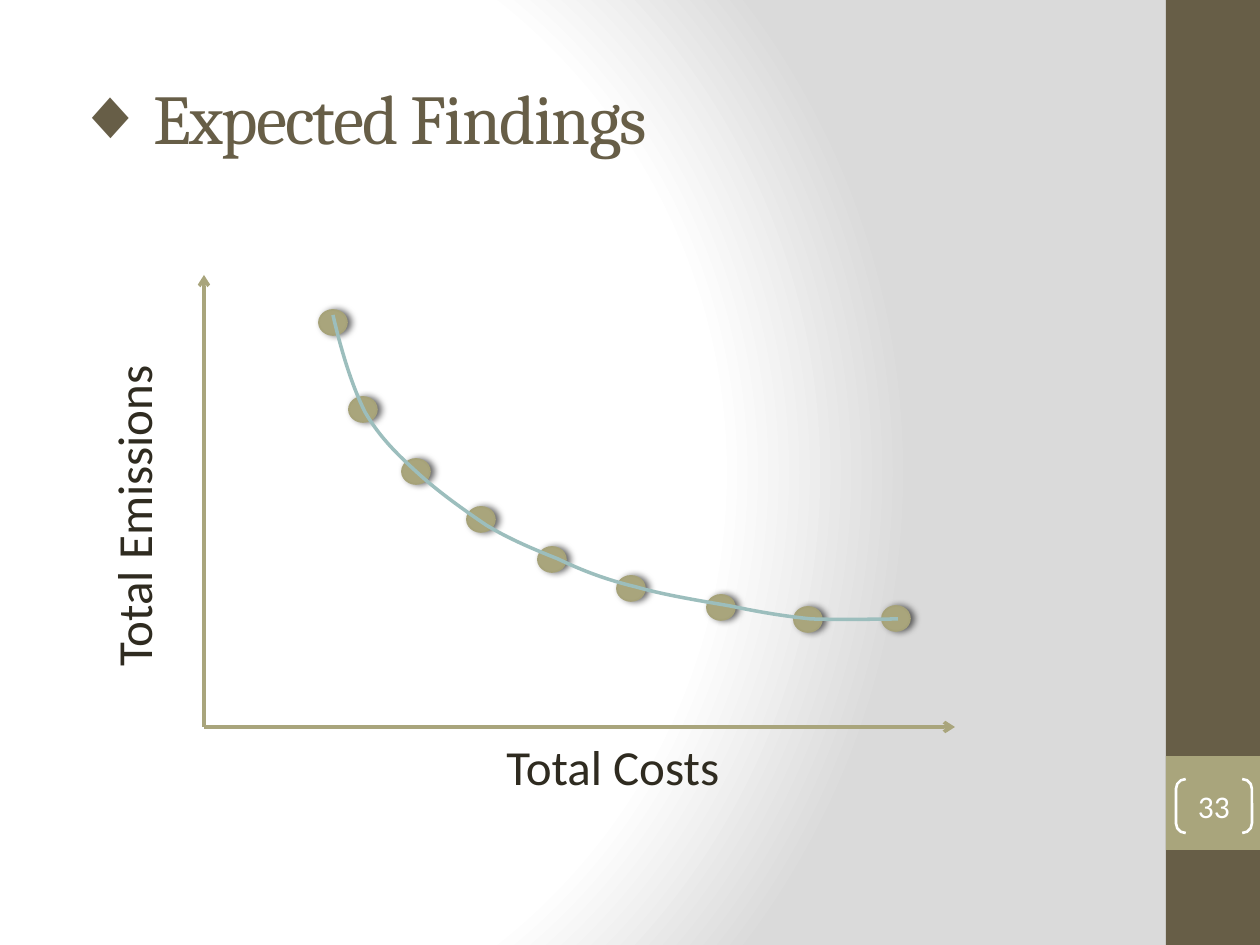
from dataclasses import dataclass

from lxml import etree
from pptx import Presentation
from pptx import util as u
from pptx.dml.color import RGBColor
from pptx.enum import shapes, text
from pptx.oxml import parse_xml
from pptx.oxml.ns import nsdecls, qn

PX = 914400 / 126


@dataclass(frozen=True)
class Theme:
    white: str = "FFFFFF"
    grey: str = "DADADA"
    brown: str = "675E47"
    olive: str = "A9A57C"
    rim: str = "A6A278"
    teal: str = "9CBEBD"
    ink: str = "2F2B20"
    head: str = "Cambria"
    body: str = "Calibri"
    title_size: int = 40
    label_size: int = 28
    number_size: int = 18


T = Theme()

TITLE = ("Expected Findings", (63, 38, 1050, 158))
PAGE = ("33", (1176, 779, 76, 54))
BARS = [((1166, 0, 94, 945), T.brown), ((1166, 756, 94, 94), T.olive)]
ORIGIN = (204, 727)
AXIS_ENDS = [(204, 275), (955, 727)]
LABELS = [
    ("Total Costs", (494, 730, 326, 72), 0),
    ("Total Emissions", (-58, 452, 382, 72), 270),
]
DOT_SIZE = (28, 25)
DOTS = [(319, 310), (349, 397), (402, 459), (467, 507), (538, 547),
        (617, 576), (707, 595), (794, 607), (882, 606)]
CURVE_START = (333, 315)
CURVE = [
    [(341, 350), (352, 386), (365, 412)],
    [(380, 438), (399, 456), (420, 475)],
    [(440, 493), (464, 510), (486, 525)],
    [(509, 539), (533, 549), (558, 559)],
    [(583, 571), (607, 580), (636, 587)],
    [(664, 595), (701, 601), (730, 606)],
    [(759, 612), (782, 616), (811, 619)],
    [(839, 620), (898, 619), (898, 619)],
]


def emu(*lengths):
    return [round(v * PX) for v in lengths]


def rgb(value):
    return RGBColor.from_string(value)


def set_line(line, color, width):
    line.color.rgb = rgb(color)
    line.width = u.Pt(width)


def add_shape(s, kind, box, fill=None):
    sp = s.shapes.add_shape(kind, *emu(*box))
    sp.shadow.inherit = False
    if fill:
        sp.fill.solid()
        sp.fill.fore_color.rgb = rgb(fill)
    else:
        sp.fill.background()
    sp.line.fill.background()
    return sp


def write(sp, words, size, font, color, anchor=text.MSO_ANCHOR.TOP):
    tf = sp.text_frame
    tf.word_wrap = True
    tf.vertical_anchor = anchor
    p = tf.paragraphs[0]
    r = p.add_run()
    r.text = words
    r.font.size = u.Pt(size)
    r.font.name = font
    r.font.color.rgb = rgb(color)
    return p, r


def add_background(s):
    s.background.fill.gradient()
    old = s.background._cSld.find(".//" + qn("a:gradFill"))
    stops = "".join(
        f'<a:gs pos="{pos}000"><a:srgbClr val="{color}"/></a:gs>'
        for pos, color in [(0, T.white), (75, T.white), (100, T.grey)])
    new = parse_xml(
        f'<a:gradFill {nsdecls("a")} rotWithShape="1"><a:gsLst>{stops}</a:gsLst>'
        '<a:path path="circle"><a:fillToRect l="20000" t="50000" r="100000" b="50000"/>'
        '</a:path></a:gradFill>')
    old.getparent().replace(old, new)


def add_title(s):
    words, box = TITLE
    sp = s.shapes.add_textbox(*emu(*box))
    p, r = write(sp, words, T.title_size, T.head, T.brown, text.MSO_ANCHOR.MIDDLE)
    r._r.get_or_add_rPr().set("spc", "-100")
    ppr = p._p.get_or_add_pPr()
    indent = emu(78)[0]
    ppr.set("marL", str(indent))
    ppr.set("indent", str(-indent))
    etree.SubElement(ppr, qn("a:buFont")).set("typeface", "Arial")
    etree.SubElement(ppr, qn("a:buChar")).set("char", "◆")


def add_page_number(s):
    words, box = PAGE
    sp = add_shape(s, shapes.MSO_SHAPE.DOUBLE_BRACKET, box)
    sp.adjustments[0] = 0.18
    set_line(sp.line, T.white, 1.5)
    tf = sp.text_frame
    tf.margin_left = tf.margin_right = tf.margin_top = tf.margin_bottom = 0
    p, r = write(sp, words, T.number_size, T.body, T.white, text.MSO_ANCHOR.MIDDLE)
    p.alignment = text.PP_ALIGN.CENTER


def add_axis(s, end):
    axis = s.shapes.add_connector(shapes.MSO_CONNECTOR.STRAIGHT, *emu(*ORIGIN, *end))
    set_line(axis.line, T.olive, 2)
    etree.SubElement(axis.line._get_or_add_ln(), qn("a:tailEnd")).set("type", "arrow")
    etree.SubElement(axis._element.spPr, qn("a:effectLst"))


def add_dot(s, corner):
    dot = add_shape(s, shapes.MSO_SHAPE.OVAL, (*corner, *DOT_SIZE), T.olive)
    set_line(dot.line, T.rim, 1)
    effects = dot._element.spPr.find(qn("a:effectLst"))
    effects.append(parse_xml(
        f'<a:outerShdw {nsdecls("a")} blurRad="{u.Pt(4)}" dist="{u.Pt(2)}" dir="0" '
        'rotWithShape="0"><a:srgbClr val="000000"><a:alpha val="60000"/></a:srgbClr>'
        '</a:outerShdw>'))


def add_curve(s):
    builder = s.shapes.build_freeform(*CURVE_START, scale=PX)
    builder.add_line_segments([pt for piece in CURVE for pt in piece], close=False)
    curve = builder.convert_to_shape()
    curve.shadow.inherit = False
    curve.fill.background()
    set_line(curve.line, T.teal, 2)
    outline = curve._element.find(".//" + qn("a:path"))
    steps = outline.findall(qn("a:lnTo"))
    for i in range(0, len(steps), 3):
        bezier = etree.SubElement(outline, qn("a:cubicBezTo"))
        for step in steps[i:i + 3]:
            bezier.append(step[0])
            outline.remove(step)


def main():
    prs = Presentation()
    prs.slide_width, prs.slide_height = emu(1260, 945)
    s = prs.slides.add_slide(prs.slide_layouts[6])
    add_background(s)
    for box, fill in BARS:
        add_shape(s, shapes.MSO_SHAPE.RECTANGLE, box, fill)
    add_title(s)
    add_page_number(s)
    for end in AXIS_ENDS:
        add_axis(s, end)
    for corner in DOTS:
        add_dot(s, corner)
    add_curve(s)
    for words, box, turn in LABELS:
        label = s.shapes.add_textbox(*emu(*box))
        label.rotation = turn
        write(label, words, T.label_size, T.body, T.ink)
    prs.save("out.pptx")


if __name__ == "__main__":
    main()
